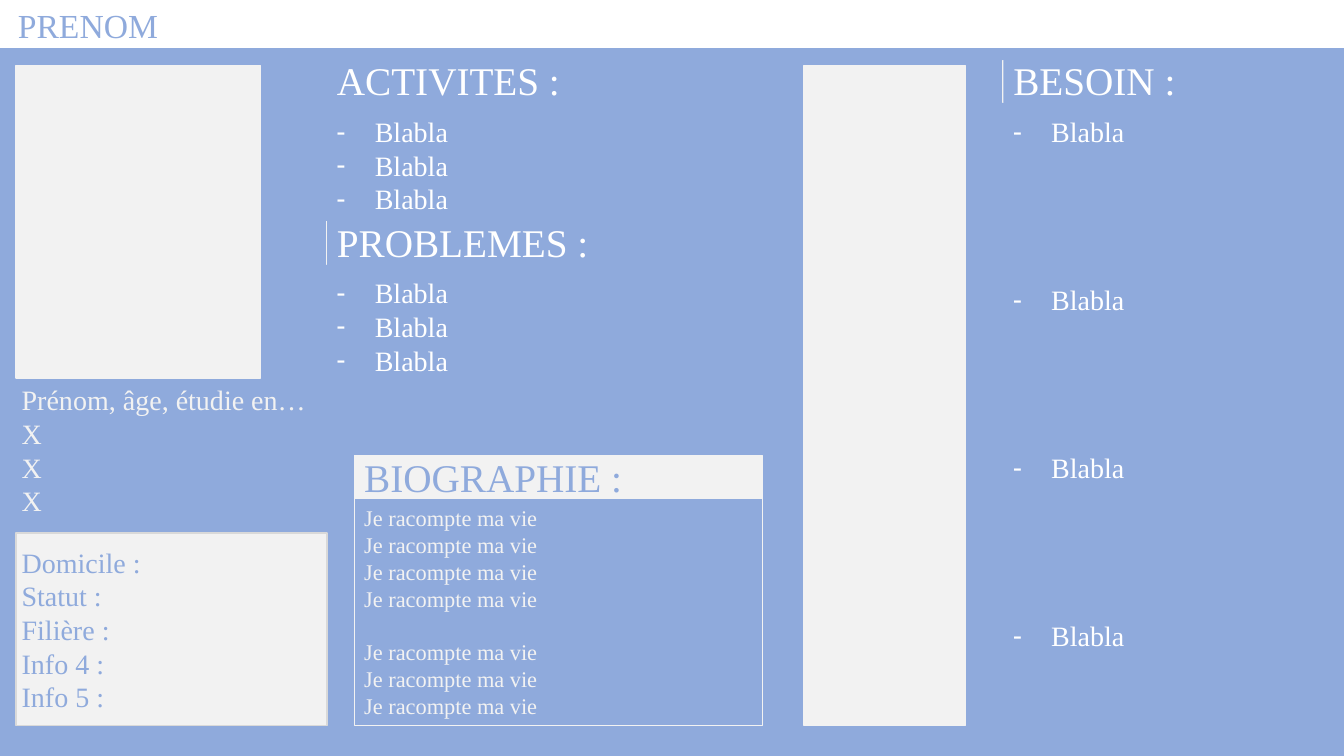
from pptx import Presentation
from pptx import util as u
from pptx.dml.color import RGBColor
from pptx.enum import shapes, text
from pptx.oxml import parse_xml
from pptx.oxml.ns import nsdecls

THEME = {
    "blue": RGBColor.from_string("8FAADC"),
    "pale": RGBColor.from_string("F2F2F2"),
    "grey": RGBColor.from_string("D9D9D9"),
    "white": RGBColor.from_string("FFFFFF"),
    "font": "Times New Roman",
    "heading": 28, "name": 24, "body": 20, "small": 16,
}

deck = Presentation()
deck.slide_width, deck.slide_height = u.Inches(13.33), u.Inches(7.5)
page = deck.slides.add_slide(deck.slide_layouts[6])


def place(left, top, width, height):
    """Turn percentages of the slide's width and height into lengths."""
    across, down = deck.slide_width / 100, deck.slide_height / 100
    return [round(n) for n in (left * across, top * down, width * across, height * down)]


def write(content, area, size="body", color="white", bullet=False, gaps=None, fill=None):
    """Add one paragraph per line; gaps maps a line's index to the points before it."""
    if fill:
        box = page.shapes.add_shape(shapes.MSO_SHAPE.RECTANGLE, *place(*area))
        box.shadow.inherit = False
        box.fill.solid()
        box.fill.fore_color.rgb = THEME[fill]
        box.line.fill.background()
    else:
        box = page.shapes.add_textbox(*place(*area))
    frame = box.text_frame
    frame.word_wrap = True
    frame.vertical_anchor = text.MSO_ANCHOR.TOP
    frame.auto_size = text.MSO_AUTO_SIZE.SHAPE_TO_FIT_TEXT
    for index, line in enumerate(content.split("\n")):
        para = frame.paragraphs[0] if index == 0 else frame.add_paragraph()
        para.alignment = text.PP_ALIGN.LEFT
        if gaps and index in gaps:
            para.space_before = u.Pt(gaps[index])
        if bullet:
            props = para._p.get_or_add_pPr()
            props.set("marL", str(u.Inches(0.38)))
            props.set("indent", str(u.Inches(-0.38)))
            props.append(parse_xml(f'<a:buFont {nsdecls("a")} typeface="Arial"/>'))
            props.append(parse_xml(f'<a:buChar {nsdecls("a")} char="-"/>'))
        span = para.add_run()
        span.text = line
        span.font.name = THEME["font"]
        span.font.size = u.Pt(THEME[size])
        span.font.color.rgb = THEME[color]


# Panels: area, fill, outline; the last two edge the headings laid over them
panels = [
    ((0, 6.4, 100, 93.6), "blue", "blue"),
    ((1.2, 8.67, 18.2, 41.33), "pale", "pale"),
    ((1.2, 70.53, 23.15, 25.47), "pale", "grey"),
    ((26.36, 60.27, 30.38, 35.7), "blue", "pale"),
    ((26.36, 60.27, 30.38, 5.73), "pale", None),
    ((59.82, 8.67, 12, 87.33), "pale", "pale"),
    ((24.3, 29.33, 20.93, 5.6), "pale", "pale"),
    ((74.63, 8, 20.93, 5.6), "pale", "pale"),
]
for area, fill, outline in panels:
    panel = page.shapes.add_shape(shapes.MSO_SHAPE.RECTANGLE, *place(*area))
    panel.shadow.inherit = False
    panel.fill.solid()
    panel.fill.fore_color.rgb = THEME[fill]
    if outline:
        panel.line.color.rgb = THEME[outline]
        panel.line.width = u.Pt(1)
    else:
        panel.line.fill.background()

# Identity
write("PRENOM", (0.6, 0, 30.9, 6.67), size="name", color="blue")
write("Prénom, âge, étudie en…\nX\nX\nX", (0.87, 50, 23.5, 23.73), color="pale")
write("Domicile :\nStatut :\nFilière :\nInfo 4 :\nInfo 5 :", (0.87, 71.47, 20.1, 24), color="blue")

# Headings
for title, left, top, width, color, fill in [
    ("ACTIVITES :", 24.33, 6.8, 27.3, "white", None),
    ("PROBLEMES :", 24.33, 28.27, 27.3, "white", "blue"),
    ("BIOGRAPHIE :", 26.36, 59.33, 27.3, "blue", None),
    ("BESOIN :", 74.66, 6.8, 25.34, "white", "blue"),
]:
    write(title, (left, top, width, 7.6), size="heading", color=color, fill=fill)

# Lists
for top in (14.5, 35.83):
    write("\n".join(["Blabla"] * 3), (24.3, top, 30.38, 14.8), bullet=True)
write("\n".join(["Blabla"] * 4), (74.63, 14.53, 25.3, 80), bullet=True,
      gaps={index: 96 for index in (1, 2, 3)})

# Biography
write("\n".join(["Je racompte ma vie"] * 7), (26.36, 66.03, 30.38, 30),
      size="small", color="pale", gaps={4: 19})

deck.save("out.pptx")
